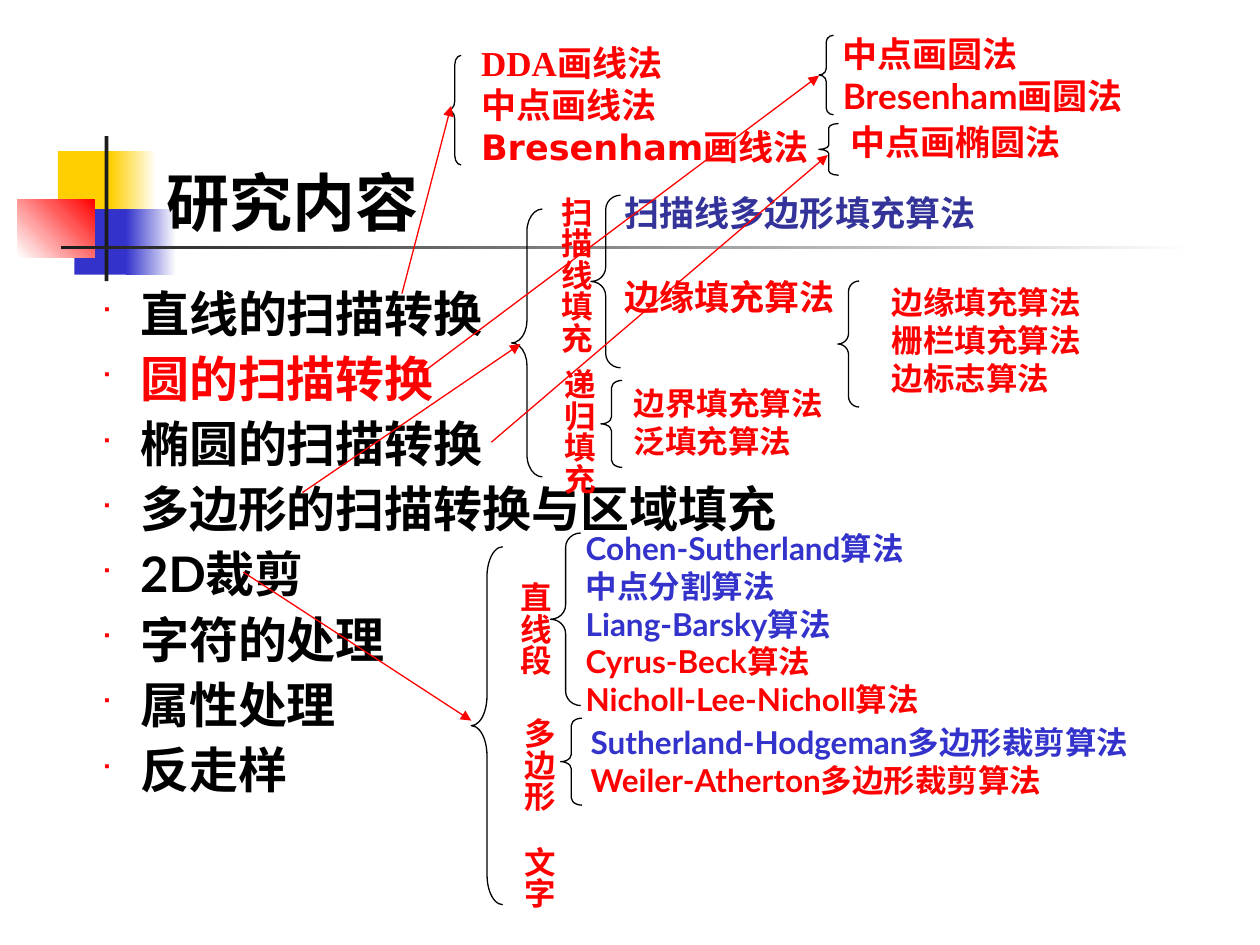
from dataclasses import dataclass

from lxml.etree import SubElement
from pptx import Presentation
from pptx.dml.color import RGBColor
from pptx.enum.shapes import MSO_CONNECTOR, MSO_SHAPE
from pptx.enum.text import MSO_ANCHOR, MSO_AUTO_SIZE, PP_ALIGN
from pptx.oxml.ns import qn
from pptx.util import Pt


@dataclass(frozen=True)
class Theme:
    """Colours, fonts and type sizes of the slide."""
    black: str = "000000"
    red: str = "FF0000"
    blue: str = "3333CC"
    indigo: str = "333399"
    yellow: str = "FFCF01"
    charcoal: str = "1C1C1C"
    white: str = "FFFFFF"
    font: str = "Lato"
    sans: str = "DejaVu Sans"
    serif: str = "Times New Roman"
    title: int = 36
    body: int = 28
    large: int = 20
    small: int = 18
    hairline: float = 0.75


class SlideBuilder:
    """Adds styled elements to one slide."""

    def __init__(self, slide, theme):
        """Keep the slide and its theme."""
        self.slide = slide
        self.theme = theme

    def style(self, font, size, color, name=None):
        """Apply the bold text style."""
        font.name = name or self.theme.font
        font.size = Pt(size)
        font.bold = True
        font.color.rgb = RGBColor.from_string(color)

    def place(self, shape, box):
        """Move a placeholder in front of what is drawn so far."""
        shape.left, shape.top, shape.width, shape.height = map(Pt, box)
        shape.element.getparent().append(shape.element)
        shape.text_frame.auto_size = MSO_AUTO_SIZE.NONE
        return shape.text_frame

    def title(self, box, text):
        """Fill the title placeholder."""
        frame = self.place(self.slide.shapes.title, box)
        frame.vertical_anchor = MSO_ANCHOR.BOTTOM
        frame.text = text
        paragraph = frame.paragraphs[0]
        paragraph.alignment = PP_ALIGN.LEFT
        self.style(paragraph.font, self.theme.title, self.theme.black)

    def bullets(self, box, lines):
        """Fill the body placeholder with square-bulleted lines."""
        frame = self.place(self.slide.placeholders[1], box)
        frame.vertical_anchor = MSO_ANCHOR.TOP
        frame.text = "\n".join(text for text, _ in lines)
        for index, (paragraph, (_, color)) in enumerate(zip(frame.paragraphs, lines)):
            paragraph.level = 1
            properties = paragraph._p.get_or_add_pPr()
            properties.set("marL", str(Pt(58.5)))
            properties.set("indent", str(Pt(-22.5)))
            bullet_color = SubElement(properties, qn("a:buClr"))
            SubElement(bullet_color, qn("a:srgbClr"), val=self.theme.red)
            SubElement(properties, qn("a:buSzPct"), val="55000")
            SubElement(properties, qn("a:buFont"), typeface="Wingdings")
            SubElement(properties, qn("a:buChar"), char="■")
            paragraph.line_spacing = 0.9
            paragraph.space_before = Pt(7 if index else 0)
            self.style(paragraph.font, self.theme.body, color)

    def block(self, box, fill, fade_to=None, angle=0):
        """Add a plain or fading rectangle without outline."""
        shape = self.slide.shapes.add_shape(MSO_SHAPE.RECTANGLE, *map(Pt, box))
        shape.shadow.inherit = False
        shape.line.fill.background()
        if fade_to is None:
            shape.fill.solid()
            shape.fill.fore_color.rgb = RGBColor.from_string(fill)
            return
        shape.fill.gradient()
        shape.fill.gradient_angle = angle
        for stop, color in zip(shape.fill.gradient_stops, (fill, fade_to)):
            stop.color.rgb = RGBColor.from_string(color)

    def brace(self, box):
        """Add a left brace whose curls follow its height."""
        shape = self.slide.shapes.add_shape(MSO_SHAPE.LEFT_BRACE, *map(Pt, box))
        shape.shadow.inherit = False
        shape.fill.background()
        shape.line.color.rgb = RGBColor.from_string(self.theme.black)
        shape.line.width = Pt(self.theme.hairline)
        shape.adjustments[0] = 0.0833 * box[3] / box[2]

    def text(self, box, lines, size, name=None, wrap=True):
        """Add a text box of (text, colour) lines."""
        shape = self.slide.shapes.add_textbox(*map(Pt, box))
        frame = shape.text_frame
        frame.word_wrap = wrap
        frame.auto_size = MSO_AUTO_SIZE.SHAPE_TO_FIT_TEXT
        frame.text = "\n".join(text for text, _ in lines)
        for paragraph, (_, color) in zip(frame.paragraphs, lines):
            self.style(paragraph.font, size, color, name)
        return frame

    def vertical_label(self, box, text):
        """Add a red label that reads downwards."""
        frame = self.text(box, [(text, self.theme.red)], self.theme.small, wrap=False)
        frame.margin_left = frame.margin_right = Pt(3.6)
        frame.margin_top = frame.margin_bottom = Pt(7.2)
        frame._txBody.bodyPr.set("vert", "eaVert")

    def arrow(self, points):
        """Add a thin red arrow."""
        connector = self.slide.shapes.add_connector(MSO_CONNECTOR.STRAIGHT, *map(Pt, points))
        connector.line.color.rgb = RGBColor.from_string(self.theme.red)
        connector.line.width = Pt(self.theme.hairline)
        SubElement(connector.line._get_or_add_ln(), qn("a:tailEnd"), type="triangle")
        SubElement(connector.element.spPr, qn("a:effectLst"))


def main():
    """Build and save the slide."""
    theme = Theme()
    red, blue, black = theme.red, theme.blue, theme.black
    presentation = Presentation()
    presentation.slide_width, presentation.slide_height = Pt(720), Pt(540)
    slide = presentation.slides.add_slide(presentation.slide_layouts[1])
    builder = SlideBuilder(slide, theme)

    builder.block((33.1, 86.4, 34.6, 37.4), theme.yellow)
    builder.block((63.4, 86.4, 25.9, 37.4), theme.yellow, theme.white)
    builder.block((42.5, 119.5, 33.1, 37.4), blue)
    builder.block((72, 119.5, 28.8, 37.4), blue, theme.white)
    builder.block((10.1, 113.8, 43.9, 33.1), theme.white, red, 45)
    builder.block((59.8, 77.8, 2.2, 82.8), theme.charcoal)
    builder.block((34.6, 140.4, 648, 2.2), theme.charcoal, theme.white)

    builder.title((87.8, 94.3, 175.7, 46.1), "研究内容")
    builder.bullets((14.4, 162, 516.2, 317.5), [
        ("直线的扫描转换", black), ("圆的扫描转换", red), ("椭圆的扫描转换", black),
        ("多边形的扫描转换与区域填充", black), ("2D裁剪", black),
        ("字符的处理", black), ("属性处理", black), ("反走样", black)])

    for box in (
            (256.3, 31.7, 7.2, 62.6), (468, 20.2, 8.3, 45.4), (468, 70.6, 11.2, 29.5),
            (337.7, 111.6, 16.9, 98.6), (478.8, 160.6, 12.2, 72), (343.4, 217.4, 12.2, 49.7),
            (292.3, 119.5, 17.6, 153), (314.6, 304.6, 17.3, 98.6),
            (320.4, 410.4, 12.2, 49.7), (269.3, 312.5, 18, 204.5)):
        builder.brace(box)

    line_methods = builder.text(
        (267.8, 20.2, 262.8, 79.2),
        [("DDA", red), ("中点画线法", red), ("Bresenham画线法", red)], theme.large, theme.sans)
    first_method = line_methods.paragraphs[0]
    first_method.runs[0].font.name = theme.serif
    first_method.add_run().text = "画线法"
    builder.text((474.5, 15.1, 245.5, 55.4),
                 [("中点画圆法", red), ("Bresenham画圆法", red)], theme.large)
    builder.text((478.8, 65.5, 169.2, 31.7), [("中点画椭圆法", red)], theme.large)
    scan_fills = builder.text((349.9, 105.8, 339.1, 79.2),
                              [("扫描线多边形填充算法", theme.indigo), ("边缘填充算法", red)], theme.large)
    scan_fills.paragraphs[1].space_before = Pt(24)
    builder.text((502.6, 158.4, 122.4, 72),
                 [("边缘填充算法", red), ("栅栏填充算法", red), ("边标志算法", red)],
                 theme.small, wrap=False)
    builder.text((355, 216, 122.4, 50.4),
                 [("边界填充算法", red), ("泛填充算法", red)], theme.small, wrap=False)
    builder.text((327.6, 298.8, 339.1, 136.8), [
        ("Cohen-Sutherland算法", blue), ("中点分割算法", blue), ("Liang-Barsky算法", blue),
        ("Cyrus-Beck算法", red), ("Nicholl-Lee-Nicholl算法", red)], theme.small)
    builder.text((330.5, 409.7, 348.5, 50.4),
                 [("Sutherland-Hodgeman多边形裁剪算法", blue), ("Weiler-Atherton多边形裁剪算法", red)],
                 theme.small, wrap=False)

    for left, top, height, label in (
            (307.4, 105.1, 97.2, "扫描线填充"), (309.6, 203.8, 79.2, "递归填充"),
            (284.4, 325.4, 61.2, "直线段"), (286.6, 403.2, 61.2, "多边形"),
            (286.6, 476.6, 43.2, "文字")):
        builder.vertical_label((left, top, 36, height), label)

    for points in (
            (229.7, 167.8, 257.8, 60.5), (241.2, 213.1, 468, 43.2), (280.8, 252.7, 473, 88.6),
            (172.8, 281.5, 297.4, 196.6), (139, 326.9, 269.3, 411.8)):
        builder.arrow(points)

    presentation.save("out.pptx")


if __name__ == "__main__":
    main()
